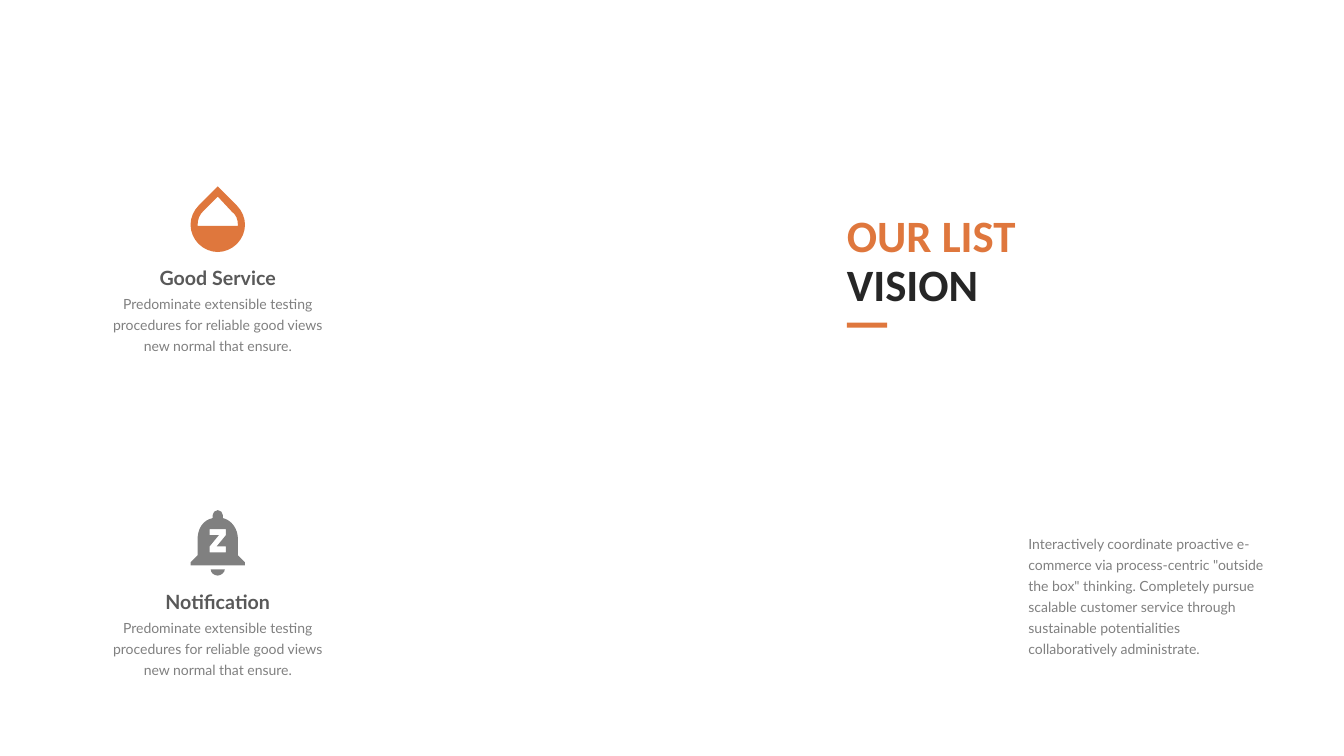
from lxml import etree
from pptx import Presentation
from pptx.dml.color import RGBColor
from pptx.enum.shapes import MSO_SHAPE
from pptx.enum.text import MSO_ANCHOR, MSO_AUTO_SIZE, PP_ALIGN
from pptx.oxml.ns import qn
from pptx.util import Inches, Pt

RECTANGLE = MSO_SHAPE.RECTANGLE
GROW = MSO_AUTO_SIZE.SHAPE_TO_FIT_TEXT
TOP, MIDDLE = MSO_ANCHOR.TOP, MSO_ANCHOR.MIDDLE
LEFT, CENTER = PP_ALIGN.LEFT, PP_ALIGN.CENTER

THEME = {
    "accent": RGBColor(0xDF, 0x77, 0x3D),
    "dark": RGBColor(0x26, 0x26, 0x26),
    "title": RGBColor(0x59, 0x59, 0x59),
    "gray": RGBColor(0x80, 0x80, 0x80),
    "heading": {"name": "Calibri", "size": Pt(32), "bold": True},
    "label": {"name": "Lato", "size": Pt(14), "bold": True},
    "body": {"name": "Lato", "size": Pt(10), "bold": False},
    "heading_spacing": Pt(35),
    "body_spacing": Pt(15),
}

HEADING = [("OUR LIST", "accent"), ("VISION", "dark")]
SUMMARY = (
    'Interactively coordinate proactive e-commerce via process-centric "outside the box" '
    "thinking. Completely pursue scalable customer service through sustainable "
    "potentialities collaboratively administrate."
)
DETAIL = "Predominate extensible testing procedures for reliable good views new normal that ensure."

DROP = [
    [(-0.2, 0.39), (0.2, 0.39), (0.2, 0.32, 0.18, 0.28, 0.14, 0.25), (0, 0.1),
     (-0.14, 0.24), (-0.18, 0.28, -0.2, 0.32, -0.2, 0.39)],
    [(0.19, 0.19), (0.24, 0.24, 0.27, 0.31, 0.27, 0.38),
     (0.27, 0.45, 0.24, 0.52, 0.19, 0.57), (0.14, 0.62, 0.07, 0.65, 0, 0.65),
     (-0.07, 0.65, -0.14, 0.62, -0.19, 0.57), (-0.24, 0.52, -0.27, 0.45, -0.27, 0.38),
     (-0.27, 0.31, -0.24, 0.24, -0.19, 0.19), (0, 0), (0.19, 0.19)],
]
BELL = [
    [(0.08, 0.25), (0.08, 0.19), (-0.08, 0.19), (-0.08, 0.25), (0.01, 0.25),
     (-0.08, 0.36), (-0.08, 0.42), (0.08, 0.42), (0.08, 0.36), (-0.01, 0.36),
     (0.08, 0.25)],
    [(0.2, 0.45), (0.27, 0.52), (0.27, 0.55), (-0.27, 0.55), (-0.27, 0.52),
     (-0.2, 0.45), (-0.2, 0.29), (-0.2, 0.19, -0.15, 0.1, -0.05, 0.08),
     (-0.05, 0.05), (-0.05, 0.03, -0.03, 0, 0, 0),
     (0.03, 0, 0.05, 0.03, 0.05, 0.05), (0.05, 0.08),
     (0.14, 0.1, 0.2, 0.19, 0.2, 0.29), (0.2, 0.45)],
    [(0, 0.65), (-0.04, 0.65, -0.07, 0.62, -0.07, 0.59), (0.07, 0.59),
     (0.07, 0.62, 0.03, 0.65, 0, 0.65)],
]
SERVICES = [("Good Service", DROP, "accent"), ("Notification", BELL, "gray")]

COLUMN_LEFT, COLUMN_WIDTH = 1.08, 2.16
FIRST_ROW, ROW_PITCH = 1.85, 3.21
TITLE_DROP, DETAIL_DROP = 0.79, 1.04
HEADING_LEFT = 8.4


def set_all(target, values):
    for key, value in values.items():
        setattr(target, key, value)


def add_text(page, area, lines, style, spacing=None, align=LEFT, anchor=TOP):
    frame = page.shapes.add_textbox(*map(Inches, area)).text_frame
    set_all(frame, {
        "word_wrap": True, "auto_size": GROW, "vertical_anchor": anchor,
        "margin_left": 0, "margin_right": 0, "margin_top": 0, "margin_bottom": 0,
    })
    for index, (text, color) in enumerate(lines):
        para = frame.add_paragraph() if index else frame.paragraphs[0]
        set_all(para, {"alignment": align, "line_spacing": spacing})
        span = para.add_run()
        span.text = text
        set_all(span.font, THEME[style])
        span.font.color.rgb = THEME[color]


def paint(shape, color):
    shape.shadow.inherit = False
    shape.fill.solid()
    shape.fill.fore_color.rgb = THEME[color]
    shape.line.fill.background()


def bend(shape, contours):
    lines = iter(list(shape._element.iter(qn("a:lnTo"))))
    for contour in contours:
        for part in contour[1:]:
            line = next(lines)
            if len(part) == 6:
                curve = etree.Element(qn("a:cubicBezTo"))
                line.addprevious(curve)
                for handle in (line, next(lines), next(lines)):
                    curve.append(handle[0])
                    handle.getparent().remove(handle)


def add_icon(page, contours, center, top, color):
    builder = None
    for contour in contours:
        start, *points = [
            (Inches(center + x), Inches(top + y))
            for part in contour
            for x, y in zip(part[::2], part[1::2])
        ]
        if builder:
            builder.move_to(*start)
        else:
            builder = page.shapes.build_freeform(*start)
        builder.add_line_segments(points, close=True)
    shape = builder.convert_to_shape()
    bend(shape, contours)
    paint(shape, color)


def main():
    deck = Presentation()
    set_all(deck, {"slide_width": Inches(13.33), "slide_height": Inches(7.5)})
    page = deck.slides.add_slide(deck.slide_layouts[6])

    add_text(page, (HEADING_LEFT, 2.1, 2.07, 0.98), HEADING, "heading",
             THEME["heading_spacing"], anchor=MIDDLE)
    bar = page.shapes.add_shape(RECTANGLE, *map(Inches, (HEADING_LEFT, 3.2, 0.4, 0.05)))
    paint(bar, "accent")
    add_text(page, (10.2, 5.27, 2.38, 1.24), [(SUMMARY, "gray")], "body",
             THEME["body_spacing"])

    for row, (title, icon, color) in enumerate(SERVICES):
        top = FIRST_ROW + row * ROW_PITCH
        add_icon(page, icon, COLUMN_LEFT + COLUMN_WIDTH / 2, top, color)
        add_text(page, (COLUMN_LEFT, top + TITLE_DROP, COLUMN_WIDTH, 0.24),
                 [(title, "title")], "label", align=CENTER)
        add_text(page, (COLUMN_LEFT, top + DETAIL_DROP, COLUMN_WIDTH, 0.61),
                 [(DETAIL, "gray")], "body", THEME["body_spacing"], CENTER)

    deck.save("out.pptx")


if __name__ == "__main__":
    main()
